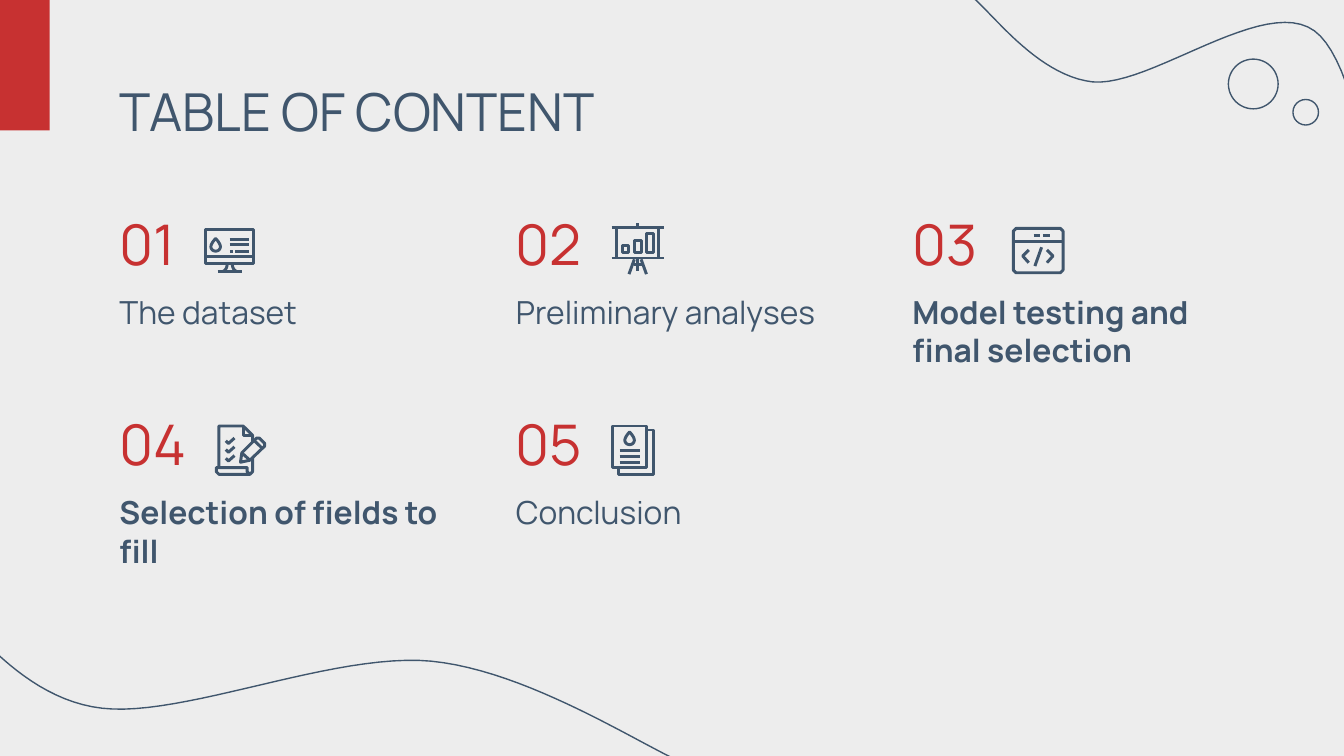
from dataclasses import dataclass
from typing import NamedTuple

from pptx import Presentation
from pptx.dml.color import RGBColor
from pptx.enum.shapes import MSO_SHAPE
from pptx.enum.text import MSO_ANCHOR
from pptx.util import Inches, Pt

COLORS = {"background": "EDEDED", "navy": "40566D", "red": "C73131"}
FONT = "Manrope"
WIDTH = 10
HEIGHT = WIDTH * 9 / 16

# Contents grid, in inches
LEFT, TOP = 0.79, 1.67
COLUMN_STEP, ROW_STEP = 2.95, 1.49
NUMBER_HEIGHT, LABEL_OFFSET = 0.49, 0.41
ICON_UNIT = 0.01
ICON_STROKE = 1.6
CURVE_STEPS = 24


class Path(NamedTuple):
    points: list
    closed: bool = False
    curved: bool = False  # points form a chain of cubic Bezier segments


@dataclass
class Entry:
    number: str
    label: str
    column: int
    row: int
    icon_left: float  # from the grid cell's left edge
    icon_top: float  # from the grid cell's top edge
    icon: list  # parts, each a list of paths
    bold: bool = False
    label_width: float = 2.52
    label_height: float = 0.7


def color(name: str) -> RGBColor:
    return RGBColor.from_string(COLORS[name])


def box(left: float, top: float, right: float, bottom: float) -> Path:
    return Path([(left, top), (right, top), (right, bottom), (left, bottom)], True)


def rule(left: float, right: float, y: float) -> Path:
    return Path([(left, y), (right, y)])


def drop(x: float, y: float) -> Path:
    """Water drop with its tip at (x, y)."""
    return Path([(x, y), (x + 1, y + 1), (x + 3.5, y + 4), (x + 3.5, y + 6),
                 (x + 3.5, y + 10.5), (x - 3.5, y + 10.5), (x - 3.5, y + 6),
                 (x - 3.5, y + 4), (x - 1, y + 1), (x, y)], True, True)


def bezier(points: list) -> list:
    """Sample a chain of cubic Bezier segments."""
    samples = [points[0]]
    for start in range(0, len(points) - 1, 3):
        segment = points[start:start + 4]
        for step in range(1, CURVE_STEPS + 1):
            t = step / CURVE_STEPS
            weights = ((1 - t) ** 3, 3 * t * (1 - t) ** 2, 3 * t * t * (1 - t), t ** 3)
            samples.append(tuple(
                sum(weight * point[axis] for weight, point in zip(weights, segment))
                for axis in (0, 1)))
    return samples


def outline(shape, width: float) -> None:
    shape.shadow.inherit = False
    shape.fill.background()
    shape.line.color.rgb = color("navy")
    shape.line.width = Pt(width)


def draw_part(slide, paths: list, width: float, left: float = 0, top: float = 0,
              unit: float = 1) -> None:
    """Draw several paths as one freeform."""
    builder = None
    for path in paths:
        points = bezier(path.points) if path.curved else path.points
        places = [(Inches(left + x * unit), Inches(top + y * unit)) for x, y in points]
        if builder is None:
            builder = slide.shapes.build_freeform(*places[0])
        else:
            builder.move_to(*places[0])
        builder.add_line_segments(places[1:], close=path.closed)
    outline(builder.convert_to_shape(), width)


def draw_circle(slide, left: float, top: float, diameter: float) -> None:
    shape = slide.shapes.add_shape(MSO_SHAPE.OVAL, Inches(left), Inches(top),
                                   Inches(diameter), Inches(diameter))
    outline(shape, 0.75)


def draw_text(slide, text: str, left: float, top: float, width: float, height: float,
              size: float, color_name: str = "navy", bold: bool = False,
              anchor=MSO_ANCHOR.TOP) -> None:
    shape = slide.shapes.add_textbox(Inches(left), Inches(top), Inches(width), Inches(height))
    frame = shape.text_frame
    frame.word_wrap = True
    frame.vertical_anchor = anchor
    frame.margin_left = frame.margin_right = Inches(0.1)
    frame.margin_top = frame.margin_bottom = Inches(0.1)
    run = frame.paragraphs[0].add_run()
    run.text = text
    run.font.name = FONT
    run.font.size = Pt(size)
    run.font.bold = bold
    run.font.color.rgb = color(color_name)


def draw_entry(slide, entry: Entry) -> None:
    left = LEFT + entry.column * COLUMN_STEP
    top = TOP + entry.row * ROW_STEP
    draw_text(slide, entry.number, left, top, 0.8, NUMBER_HEIGHT, 30, "red",
              anchor=MSO_ANCHOR.BOTTOM)
    draw_text(slide, entry.label, left, top + LABEL_OFFSET, entry.label_width,
              entry.label_height, 17, bold=entry.bold)
    for part in entry.icon:
        draw_part(slide, part, ICON_STROKE, left + entry.icon_left,
                  top + entry.icon_top, ICON_UNIT)


# Icons, in hundredths of an inch
MONITOR = [
    [box(1, 1, 37, 26), rule(1, 37, 21), rule(10, 28, 32),
     Path([(17, 27), (17, 29), (16, 31), (14, 32)], curved=True),
     Path([(21, 27), (21, 29), (22, 31), (24, 32)], curved=True)],
    [drop(8.5, 7.5)],
    [rule(19, 21, 17)], [rule(23, 33, 17)], [rule(19, 33, 12)], [rule(19, 33, 8)],
]
EASEL = [
    [box(4, 3.5, 35, 26), rule(0, 39, 3.5), rule(0, 39, 26), rule(16.5, 22.5, 31),
     Path([(19.5, 0), (19.5, 3.5)]), Path([(19.5, 27), (19.5, 36)]),
     Path([(17, 27), (13, 38)]), Path([(22, 27), (26, 38)])],
    *[[box(8 + 9 * index, y, 13 + 9 * index, 22)] for index, y in enumerate((17, 13, 8))],
]
CODE_WINDOW = [
    [Path([(3, 1), (36, 1), (38, 3), (38, 32), (36, 34), (3, 34), (1, 32), (1, 3)], True),
     rule(1, 38, 11)],
    [Path([(12.5, 17), (8, 21.5), (12.5, 26.5)])],
    [Path([(26, 17), (30.5, 21.5), (26, 26.5)])],
    [Path([(22, 15), (17, 29)])],
    [rule(16, 21, 6)], [rule(23, 28, 6)],
]
CHECKLIST = [
    *[[Path([(8, y), (10, y + 2), (14.5, y - 2)])] for y in (25, 18.5, 12)],
    [Path([(3, 32), (3, 1), (21, 1), (28, 8), (28, 13)]),
     Path([(21, 1), (21, 8), (28, 8)]),
     Path([(28, 25), (28, 35), (26, 37), (3, 37), (1, 35), (1, 32), (24, 32), (24, 35),
           (26, 37)]),
     Path([(19, 28), (20, 21), (31, 10), (33, 10), (37, 14), (37, 16), (26, 26.5)], True),
     Path([(29.5, 12), (35, 17.5)]), Path([(20, 21), (26, 26.5)])],
]
DOCUMENTS = [
    [box(1, 1, 26, 32), Path([(27, 4), (31, 4), (31, 37), (5, 37), (5, 32)])],
    [drop(13.5, 5.5)], *[[rule(6, 21, y)] for y in (19, 23.5, 28)],
]

ENTRIES = [
    Entry("01", "The dataset", 0, 0, 0.73, 0.03, MONITOR),
    Entry("02", "Preliminary analyses", 1, 0, 0.81, -0.01, EASEL),
    Entry("03", "Model testing and final selection", 2, 0, 0.84, 0.02, CODE_WINDOW, bold=True),
    Entry("04", "Selection of fields to fill", 0, 1, 0.81, 0, CHECKLIST, bold=True,
          label_width=2.8, label_height=1.01),
    Entry("05", "Conclusion", 1, 1, 0.81, 0, DOCUMENTS, label_height=1.01),
]

WAVES = [
    Path([(7.2, -0.05), (7.36, 0.06), (7.7, 0.56), (8.13, 0.61), (8.56, 0.65),
          (9.41, -0.04), (9.78, 0.23), (10.15, 0.5), (10.26, 1.91), (10.35, 2.25)], curved=True),
    Path([(-0.4, 4.5), (-0.21, 4.63), (0.16, 5.2), (0.76, 5.27), (1.37, 5.34),
          (2.49, 4.85), (3.21, 4.92), (3.93, 4.99), (4.78, 5.55), (5.09, 5.68)], curved=True),
]


def main() -> None:
    presentation = Presentation()
    presentation.slide_width = Inches(WIDTH)
    presentation.slide_height = Inches(HEIGHT)
    slide = presentation.slides.add_slide(presentation.slide_layouts[6])
    slide.background.fill.solid()
    slide.background.fill.fore_color.rgb = color("background")

    # Decoration: waves, circles and the corner bar
    for wave in WAVES:
        draw_part(slide, [wave], 0.75)
    draw_circle(slide, 9.14, 0.44, 0.37)
    draw_circle(slide, 9.62, 0.74, 0.19)
    bar = slide.shapes.add_shape(MSO_SHAPE.RECTANGLE, 0, 0, Inches(0.37), Inches(0.97))
    bar.shadow.inherit = False
    bar.fill.solid()
    bar.fill.fore_color.rgb = color("red")
    bar.line.fill.background()

    # Title and contents
    draw_text(slide, "TABLE OF CONTENT", LEFT, 0.49, 8.43, 0.63, 28)
    for entry in ENTRIES:
        draw_entry(slide, entry)

    presentation.save("out.pptx")


if __name__ == "__main__":
    main()
